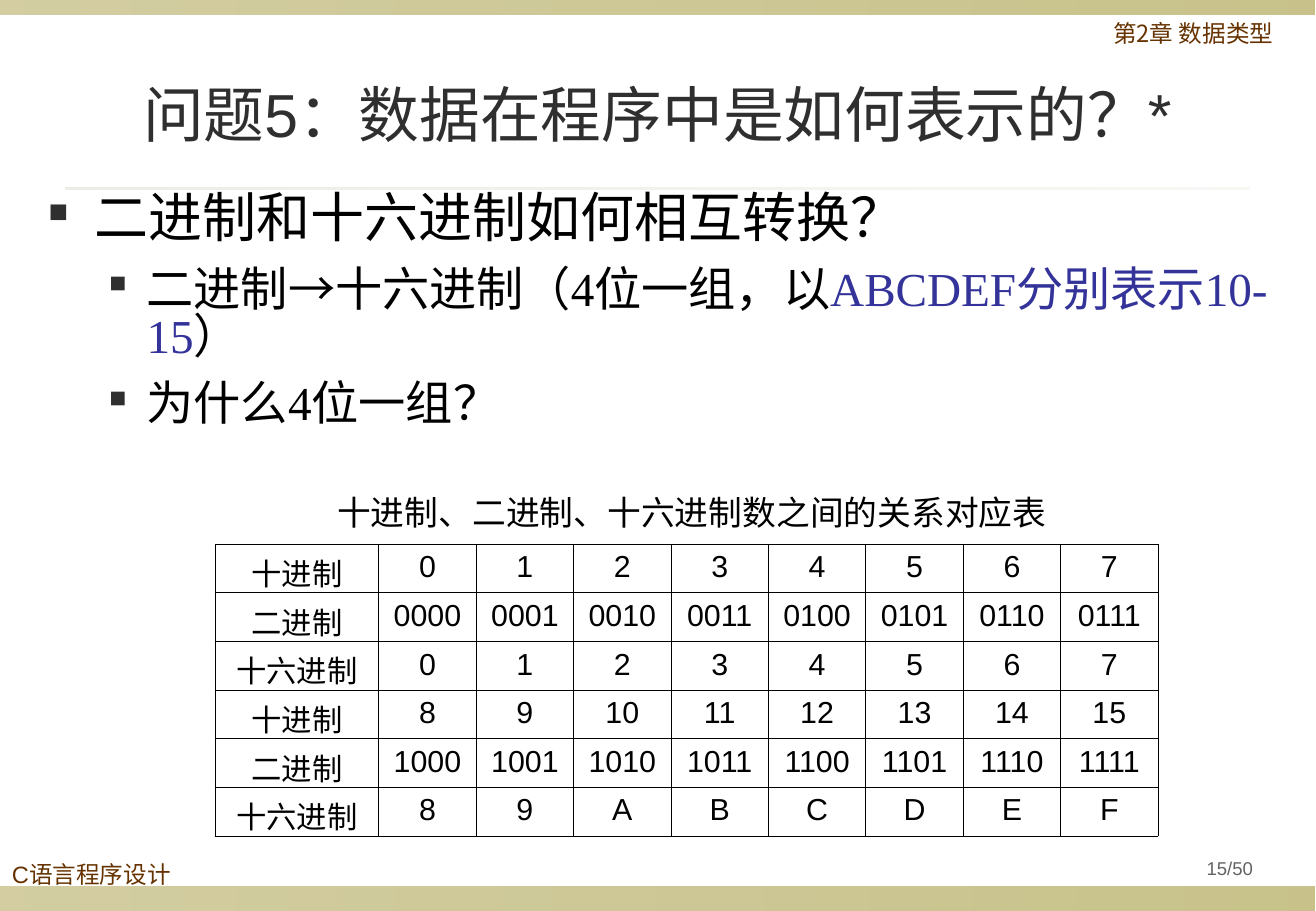
from dataclasses import dataclass
from typing import Optional

import pptx
import pptx.dml.color
import pptx.enum.shapes
import pptx.enum.text
import pptx.oxml
import pptx.oxml.ns
import pptx.util
from lxml import etree

Inches = pptx.util.Inches
Pt = pptx.util.Pt
qn = pptx.oxml.ns.qn
ALIGN = pptx.enum.text.PP_ALIGN
ANCHOR = pptx.enum.text.MSO_ANCHOR

COLORS = {
    "olive": "918415", "rule": "DCD9CC", "brown": "663300", "dark": "2F2F2F",
    "black": "000000", "blue": "333399", "grey": "636363", "white": "FFFFFF",
}
EAST_ASIAN = "Noto Sans CJK SC"


@dataclass
class Band:
    """A horizontal strip whose opacity changes from left to right."""
    left: float
    top: float
    width: float
    height: float
    color: str
    opacities: tuple[int, int]


@dataclass
class Run:
    text: str
    size: float
    color: str
    font: str = "Arial"


@dataclass
class Label:
    left: float
    top: float
    width: float
    height: float
    run: Run
    align: ALIGN = ALIGN.LEFT
    anchor: ANCHOR = ANCHOR.TOP
    line_spacing: Optional[float] = None
    side_margin: float = 0.1


@dataclass
class Bullet:
    level: int
    indent: float
    hanging: float
    runs: list[Run]


BANDS = [
    Band(0, 7.3, 10.83, 0.2, "olive", (40, 50)),
    Band(0, 0, 10.83, 0.12, "olive", (40, 50)),
    Band(0.54, 1.54, 9.75, 0.02, "rule", (50, 20)),
]
LABELS = [
    Label(0, 7.06, 2.35, 0.44, Run("C语言程序设计", 14, "brown"), line_spacing=0.9),
    Label(8.65, 0.13, 2.36, 0.39, Run("第2章 数据类型", 14, "brown", EAST_ASIAN),
          ALIGN.CENTER, line_spacing=0.9),
    Label(0, 0.47, 10.83, 0.92, Run("问题5：数据在程序中是如何表示的？*", 36, "dark"),
          ALIGN.CENTER, ANCHOR.MIDDLE),
    Label(9.59, 7, 1.08, 0.31, Run("15/50", 11, "grey"),
          ALIGN.CENTER, ANCHOR.MIDDLE, 0.9, 0.05),
    Label(2.68, 4, 6.14, 0.44, Run("十进制、二进制、十六进制数之间的关系对应表", 20, "black")),
]
SERIF = "Times New Roman"
BULLETS = [
    Bullet(0, 0.38, 0.38, [Run("二进制和十六进制如何相互转换？", 32, "black", SERIF)]),
    Bullet(1, 0.81, 0.31, [
        Run("二进制→十六进制（4位一组，以", 28, "black", SERIF),
        Run("ABCDEF分别表示10-15", 28, "blue", SERIF),
        Run("）", 28, "black", SERIF),
    ]),
    Bullet(1, 0.81, 0.31, [Run("为什么4位一组？", 28, "black", SERIF)]),
]
NUMBER_FORMATS = {"十进制": "d", "二进制": "04b", "十六进制": "X"}
NUMBERS_PER_ROW = 8


def rgb(name: str) -> pptx.dml.color.RGBColor:
    return pptx.dml.color.RGBColor.from_string(COLORS[name])


def add_run(paragraph, item: Run) -> None:
    run = paragraph.add_run()
    run.text = item.text
    run.font.size = Pt(item.size)
    run.font.name = item.font
    run.font.color.rgb = rgb(item.color)
    latin = run.font._element.find(qn("a:latin"))
    east_asian = etree.Element(qn("a:ea"), typeface=EAST_ASIAN)
    latin.addnext(east_asian)


def add_band(slide, band: Band) -> None:
    shape = slide.shapes.add_shape(
        pptx.enum.shapes.MSO_SHAPE.RECTANGLE, Inches(band.left), Inches(band.top),
        Inches(band.width), Inches(band.height))
    shape.shadow.inherit = False
    shape.line.fill.background()
    shape.fill.gradient()
    shape.fill.gradient_angle = 0
    for stop in shape.fill.gradient_stops:
        stop.color.rgb = rgb(band.color)
    for color, opacity in zip(shape.element.iter(qn("a:srgbClr")), band.opacities):
        etree.SubElement(color, qn("a:alpha"), val=str(opacity * 1000))


def add_text_frame(slide, left: float, top: float, width: float, height: float):
    box = slide.shapes.add_textbox(Inches(left), Inches(top), Inches(width), Inches(height))
    box.text_frame.word_wrap = True
    return box.text_frame


def add_label(slide, label: Label) -> None:
    frame = add_text_frame(slide, label.left, label.top, label.width, label.height)
    frame.vertical_anchor = label.anchor
    frame.margin_left = frame.margin_right = Inches(label.side_margin)
    paragraph = frame.paragraphs[0]
    paragraph.alignment = label.align
    paragraph.line_spacing = label.line_spacing
    add_run(paragraph, label.run)


def add_bullets(slide, bullets: list[Bullet]) -> None:
    frame = add_text_frame(slide, 0.3, 1.51, 10.54, 5.49)
    frame.margin_top = Inches(0.09)
    for index, bullet in enumerate(bullets):
        paragraph = frame.add_paragraph() if index else frame.paragraphs[0]
        paragraph.level = bullet.level
        paragraph.line_spacing = 0.83
        paragraph.space_before = Pt(6 if index else 0)
        paragraph.space_after = Pt(6)
        properties = paragraph._p.get_or_add_pPr()
        properties.set("marL", str(Inches(bullet.indent)))
        properties.set("indent", str(-Inches(bullet.hanging)))
        color = etree.SubElement(properties, qn("a:buClr"))
        etree.SubElement(color, qn("a:srgbClr"), val=COLORS["dark"])
        etree.SubElement(properties, qn("a:buSzPct"), val="50000")
        etree.SubElement(properties, qn("a:buChar"), char="■")
        for run in bullet.runs:
            add_run(paragraph, run)


def fill_cell(cell, run: Run) -> None:
    cell.fill.solid()
    cell.fill.fore_color.rgb = rgb("white")
    paragraph = cell.text_frame.paragraphs[0]
    paragraph.alignment = ALIGN.CENTER
    add_run(paragraph, run)
    # Borders come before the fill in the cell properties
    properties = cell._tc.get_or_add_tcPr()
    for position, side in enumerate(("a:lnL", "a:lnR", "a:lnT", "a:lnB")):
        border = etree.Element(qn(side), w=str(Pt(0.45)))
        solid = etree.SubElement(border, qn("a:solidFill"))
        etree.SubElement(solid, qn("a:srgbClr"), val=COLORS["black"])
        properties.insert(position, border)


def add_number_table(slide) -> None:
    rows = [
        [name] + [format(number, code) for number in range(start, start + NUMBERS_PER_ROW)]
        for start in (0, NUMBERS_PER_ROW) for name, code in NUMBER_FORMATS.items()
    ]
    table = slide.shapes.add_table(
        len(rows), NUMBERS_PER_ROW + 1, Inches(1.77), Inches(4.48),
        Inches(7.77), Inches(2.4)).table
    table.first_row = table.horz_banding = False
    for index, column in enumerate(table.columns):
        column.width = Inches(0.8025 if index else 1.35)
    for row_index, texts in enumerate(rows):
        table.rows[row_index].height = Inches(0.4)
        for column_index, text in enumerate(texts):
            font = "Arial" if column_index else "Lato"
            fill_cell(table.cell(row_index, column_index), Run(text, 18, "black", font))


def main() -> None:
    presentation = pptx.Presentation()
    presentation.slide_width = Inches(10.84)
    presentation.slide_height = Inches(7.5)
    slide = presentation.slides.add_slide(presentation.slide_layouts[6])
    # Strips, text and table
    for band in BANDS:
        add_band(slide, band)
    add_bullets(slide, BULLETS)
    add_number_table(slide)
    for label in LABELS:
        add_label(slide, label)
    presentation.save("out.pptx")


if __name__ == "__main__":
    main()
